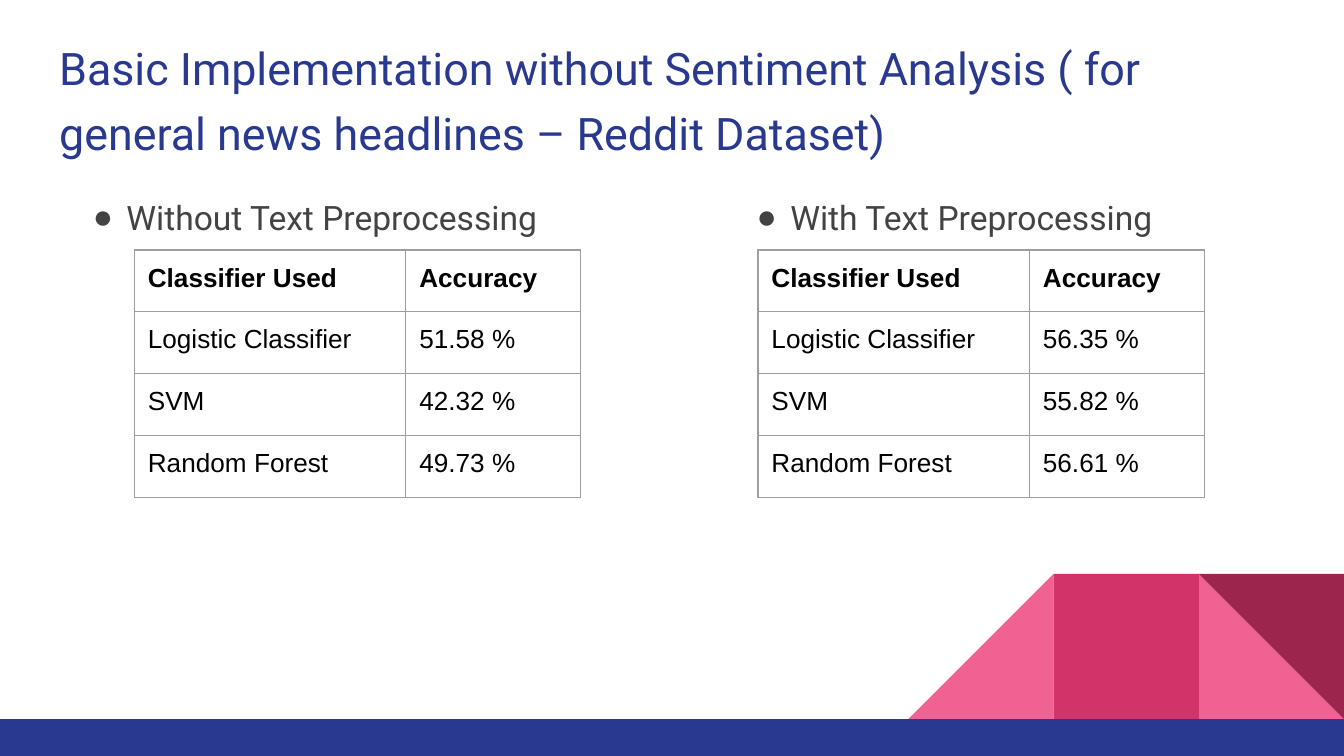
import pptx
import pptx.util
import pptx.dml.color
import pptx.enum.shapes
import pptx.enum.text
import pptx.oxml
import pptx.oxml.ns
from pptx.util import Inches

COLORS = {"blue": "2A3990", "pink": "F06292", "rose": "D23369", "wine": "9C254D",
          "gray": "434343", "black": "000000", "border": "9E9E9E"}
qn = pptx.oxml.ns.qn
ns = pptx.oxml.ns.nsdecls("a")


def rgb(name):
    return pptx.dml.color.RGBColor.from_string(COLORS[name])


def add_text(p, text, size, color, font="Roboto", bold=False):
    r = p.add_run()
    r.text = text
    r.font.size = pptx.util.Pt(size)
    r.font.name = font
    r.font.bold = bold
    r.font.color.rgb = rgb(color)


# 16:9 slide
prs = pptx.Presentation()
prs.slide_width = Inches(10)
prs.slide_height = Inches(10) * 9 // 16
s = prs.slides.add_slide(prs.slide_layouts[3])

# Corner decoration and bottom bar
MSO = pptx.enum.shapes.MSO_SHAPE
side = 1.08
for kind, x, y, w, h, color, rotation, flip in [
    (MSO.RIGHT_TRIANGLE, 10 - side, 4.27, side, side, "pink", 0, False),
    (MSO.RIGHT_TRIANGLE, 10 - 3 * side, 4.27, side, side, "pink", 0, True),
    (MSO.RECTANGLE, 10 - 2 * side, 4.27, side, side, "rose", 0, False),
    (MSO.RIGHT_TRIANGLE, 10 - side, 4.27, side, side, "wine", 180, False),
    (MSO.RECTANGLE, 0, 5.35, 10, 0.28, "blue", 0, False),
]:
    sp = s.shapes.add_shape(kind, Inches(x), Inches(y), Inches(w), Inches(h))
    sp.shadow.inherit = False
    sp.fill.solid()
    sp.fill.fore_color.rgb = rgb(color)
    sp.line.fill.background()
    sp.rotation = rotation
    if flip:
        sp._element.spPr.find(qn("a:xfrm")).set("flipH", "1")

# Title and list placeholders
title, left, right = s.placeholders
for sp, x, y, w, h in [(title, 0.34, 0.2, 9.32, 0.66),
                       (left, 0.34, 1.32, 4.63, 3.65),
                       (right, 5.28, 1.32, 4.63, 3.65)]:
    sp.left, sp.top, sp.width, sp.height = Inches(x), Inches(y), Inches(w), Inches(h)
    tf = sp.text_frame
    tf.word_wrap = True
    tf.auto_size = pptx.enum.text.MSO_AUTO_SIZE.NONE
    tf.vertical_anchor = pptx.enum.text.MSO_ANCHOR.TOP
    tf.margin_left = tf.margin_right = tf.margin_top = tf.margin_bottom = Inches(0.1)
    p = tf.paragraphs[0]
    p.alignment = pptx.enum.text.PP_ALIGN.LEFT
    p.space_before = pptx.util.Pt(0)

p = title.text_frame.paragraphs[0]
add_text(p, "Basic Implementation without Sentiment Analysis ( for general news headlines "
            "– Reddit Dataset)", 24, "blue")
add_text(p, " ", 30, "blue")

for sp, text in [(left, "Without Text Preprocessing"), (right, "With Text Preprocessing")]:
    p = sp.text_frame.paragraphs[0]
    p.line_spacing = 1.15
    p.space_after = pptx.util.Pt(16)
    pPr = p._p.get_or_add_pPr()
    pPr.set("marL", str(Inches(0.5)))
    pPr.set("indent", str(Inches(-0.25)))
    for xml in (f'<a:buClr {ns}><a:srgbClr val="{COLORS["gray"]}"/></a:buClr>',
                f'<a:buFont {ns} typeface="Arial"/>',
                f'<a:buChar {ns} char="●"/>'):
        pPr.append(pptx.oxml.parse_xml(xml))
    add_text(p, text, 18, "gray")

# Accuracy tables
classifiers = ["Logistic Classifier", "SVM", "Random Forest"]
for x, scores in [(5.64, ["56.35 %", "55.82 %", "56.61 %"]),
                  (1, ["51.58 %", "42.32 %", "49.73 %"])]:
    rows = [("Classifier Used", "Accuracy"), *zip(classifiers, scores)]
    table = s.shapes.add_table(len(rows), 2, Inches(x), Inches(1.86),
                               Inches(3.32), Inches(1.84)).table
    table.horz_banding = False
    table.columns[0].width, table.columns[1].width = Inches(2.02), Inches(1.3)
    for i, row in enumerate(rows):
        for j, text in enumerate(row):
            cell = table.cell(i, j)
            cell.fill.background()
            cell.margin_left = cell.margin_right = Inches(0.1)
            cell.margin_top = cell.margin_bottom = Inches(0.1)
            add_text(cell.text_frame.paragraphs[0], text, 14, "black", "Arial", i == 0)
            tcPr = cell._tc.get_or_add_tcPr()
            for k, edge in enumerate(("lnL", "lnR", "lnT", "lnB")):
                tcPr.insert(k, pptx.oxml.parse_xml(
                    f'<a:{edge} {ns} w="{pptx.util.Pt(0.75)}"><a:solidFill>'
                    f'<a:srgbClr val="{COLORS["border"]}"/></a:solidFill></a:{edge}>'))

prs.save("out.pptx")
